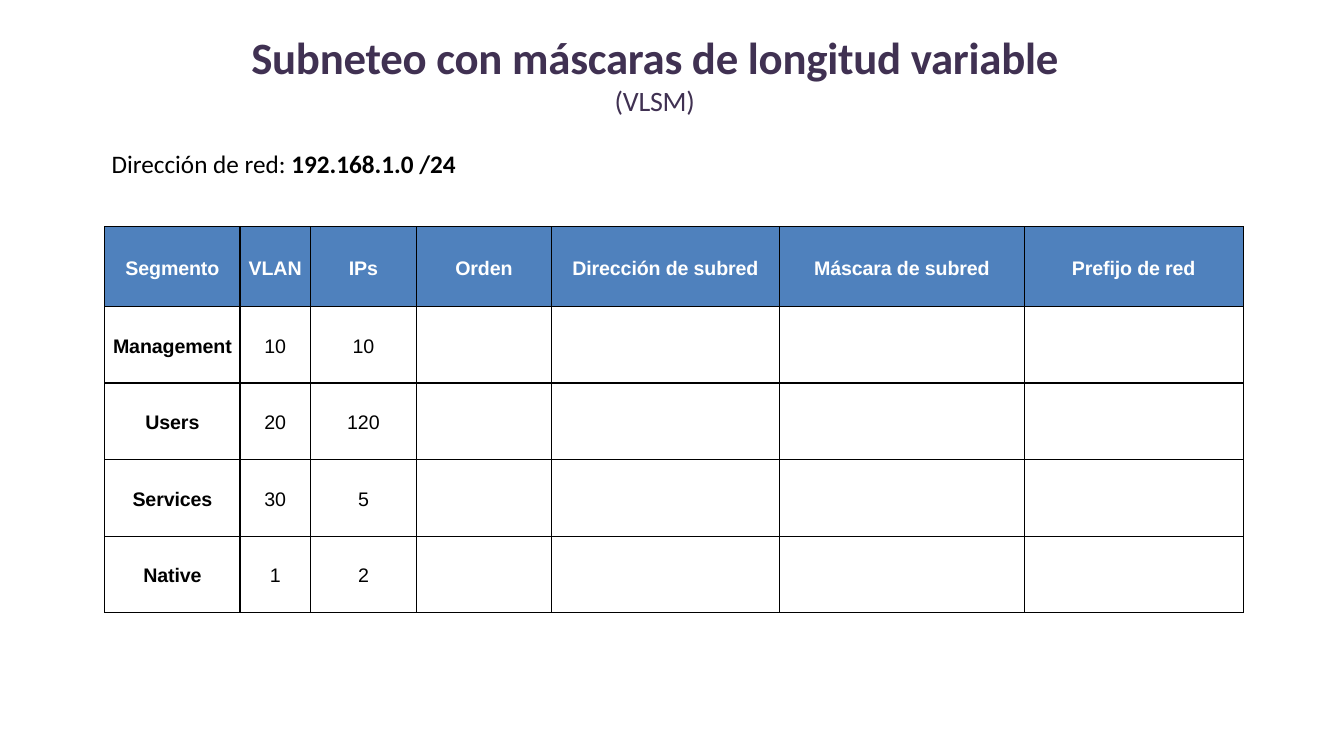
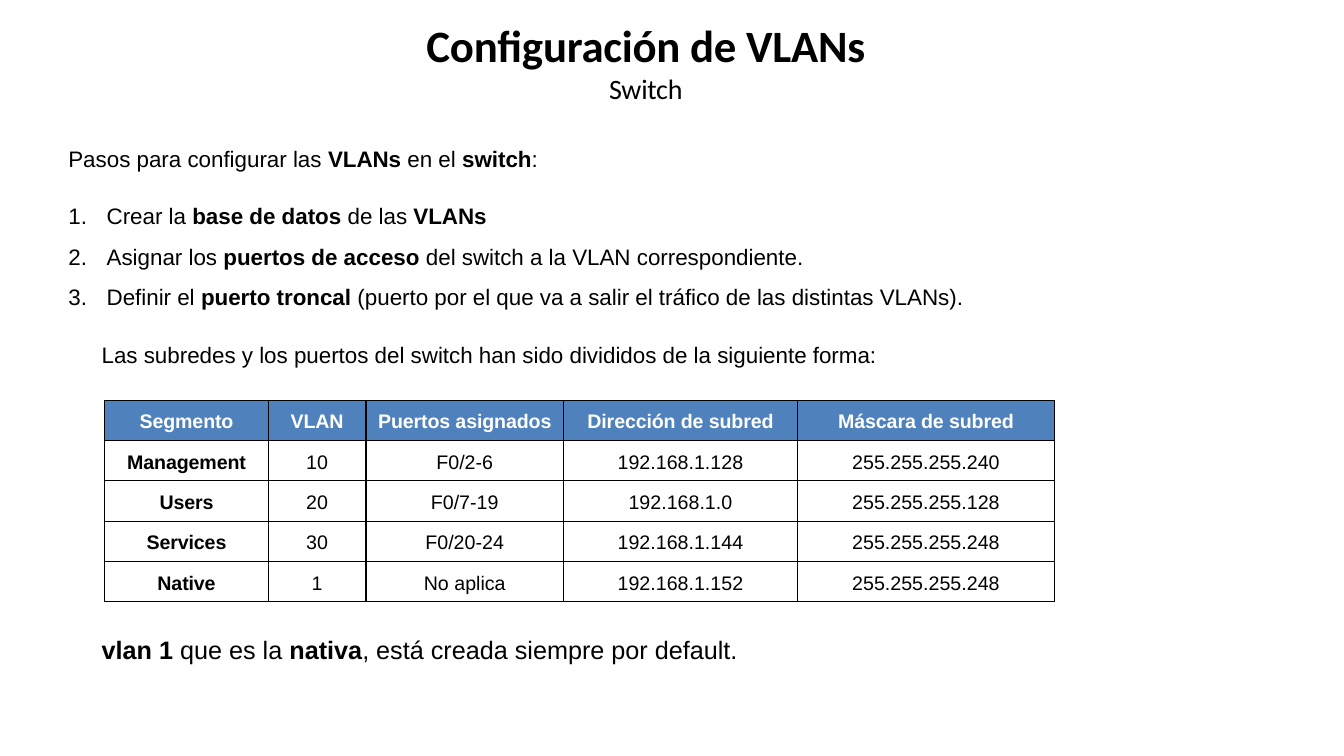
import dataclasses
import typing

import lxml.etree
import pptx
import pptx.dml.color
import pptx.enum.text
import pptx.oxml.ns
import pptx.util

PX = 9144
ALIGN = pptx.enum.text.PP_ALIGN


@dataclasses.dataclass(frozen=True)
class Theme:
    purple: str = "403152"
    black: str = "000000"
    white: str = "FFFFFF"
    blue: str = "4F81BD"
    heading_font: str = "Calibri"
    body_font: str = "Arial"
    title: int = 32
    subtitle: int = 20
    large: int = 18
    body: int = 16
    cell: int = 14
    cell_line: int = 18
    border: int = 1


THEME = Theme()


@dataclasses.dataclass(frozen=True)
class Box:
    left: int
    top: int
    width: int
    height: int


@dataclasses.dataclass(frozen=True)
class Table:
    left: int
    top: int
    cols: tuple[int, ...]
    heights: tuple[int, ...]
    rows: tuple[tuple[str, ...], ...]


def px(n: int) -> pptx.util.Emu:
    return pptx.util.Emu(n * PX)


def rgb(color: str) -> pptx.dml.color.RGBColor:
    return pptx.dml.color.RGBColor.from_string(color)


def add_element(parent: typing.Any, tag: str, **attrs: str) -> typing.Any:
    return lxml.etree.SubElement(parent, pptx.oxml.ns.qn(tag), attrs)


def write(tf: typing.Any, text: str, *, size: int, font: str = THEME.body_font,
          color: str = THEME.black, bold: bool = False, tracking: int = 0,
          align: typing.Any = ALIGN.LEFT, line: typing.Any = None,
          after: int = 0, numbered: bool = False) -> None:
    """Add a paragraph; each ** in the text switches bold on or off."""
    p = tf.paragraphs[0] if not tf.text else tf.add_paragraph()
    if numbered:
        pPr = p._p.get_or_add_pPr()
        pPr.set("marL", str(px(38)))
        pPr.set("indent", str(px(-38)))
        add_element(pPr, "a:buFont", typeface=font)
        add_element(pPr, "a:buAutoNum", type="arabicPeriod")
    p.alignment = align
    p.space_after = pptx.util.Pt(after)
    if line is not None:
        p.line_spacing = line
    for i, part in enumerate(text.split("**")):
        if not part:
            continue
        r = p.add_run()
        r.text = part
        r.font.size = pptx.util.Pt(size)
        r.font.name = font
        r.font.bold = bold != (i % 2 == 1)
        r.font.color.rgb = rgb(color)
        if tracking:
            r._r.get_or_add_rPr().set("spc", str(tracking))


def add_box(s: typing.Any, box: Box, *, inset: bool = True, wrap: bool = True) -> typing.Any:
    sp = s.shapes.add_textbox(px(box.left), px(box.top), px(box.width), px(box.height))
    tf = sp.text_frame
    tf.word_wrap = wrap
    tf.auto_size = pptx.enum.text.MSO_AUTO_SIZE.SHAPE_TO_FIT_TEXT
    if not inset:
        tf.margin_left = tf.margin_right = tf.margin_top = tf.margin_bottom = 0
    return tf


def add_title(s: typing.Any, box: Box, title: str, subtitle: str, color: str) -> None:
    tf = add_box(s, box, inset=False)
    for text, size, bold in ((title, THEME.title, True), (subtitle, THEME.subtitle, False)):
        write(tf, text, size=size, font=THEME.heading_font, color=color,
              bold=bold, tracking=-20, align=ALIGN.CENTER)


def add_borders(cell: typing.Any) -> None:
    tcPr = cell._tc.get_or_add_tcPr()
    for side in ("L", "R", "T", "B"):
        ln = add_element(tcPr, f"a:ln{side}", w=str(pptx.util.Pt(THEME.border)))
        add_element(add_element(ln, "a:solidFill"), "a:srgbClr", val=THEME.black)


def fill_cell(cell: typing.Any, text: str, header: bool, strong: bool) -> None:
    cell.margin_left = cell.margin_right = cell.margin_top = cell.margin_bottom = 0
    cell.vertical_anchor = pptx.enum.text.MSO_ANCHOR.MIDDLE
    add_borders(cell)
    if header:
        cell.fill.solid()
        cell.fill.fore_color.rgb = rgb(THEME.blue)
    else:
        cell.fill.background()
    if text:
        write(cell.text_frame, text, size=THEME.cell, bold=strong,
              color=THEME.white if header else THEME.black,
              tracking=-10 if strong else 0, align=ALIGN.CENTER,
              line=pptx.util.Pt(THEME.cell_line))


def add_table(s: typing.Any, table: Table) -> None:
    sp = s.shapes.add_table(len(table.rows), len(table.cols), px(table.left), px(table.top),
                            px(sum(table.cols)), px(sum(table.heights)))
    grid = sp.table
    grid.horz_banding = False
    for col, width in zip(grid.columns, table.cols):
        col.width = px(width)
    for i, (row, height) in enumerate(zip(table.rows, table.heights)):
        grid.rows[i].height = px(height)
        for j in range(len(table.cols)):
            text = row[j] if j < len(row) else ""
            fill_cell(grid.cell(i, j), text, i == 0, i == 0 or j == 0)


def build_vlsm(s: typing.Any) -> None:
    add_title(s, Box(208, 29, 883, 88), "Subneteo con máscaras de longitud variable",
              "(VLSM)", THEME.purple)
    add_table(s, Table(104, 225, (134, 70, 105, 134, 226, 243, 217), (79,) + (76,) * 4, (
        ("Segmento", "VLAN", "IPs", "Orden", "Dirección de subred",
         "Máscara de subred", "Prefijo de red"),
        ("Management", "10", "10"),
        ("Users", "20", "120"),
        ("Services", "30", "5"),
        ("Native", "1", "2"),
    )))
    write(add_box(s, Box(101, 142, 363, 40), wrap=False),
          "Dirección de red: **192.168.1.0 /24", size=THEME.large, font=THEME.heading_font)


def build_vlans(s: typing.Any) -> None:
    add_title(s, Box(358, 18, 565, 88), "Configuración de VLANs", "Switch", THEME.black)
    tf = add_box(s, Box(58, 126, 1033, 183))
    write(tf, "Pasos para configurar las **VLANs **en el **switch**:",
          size=THEME.body, line=1.5, after=12)
    for step in (
        "Crear la **base de datos **de las **VLANs",
        "Asignar los **puertos de acceso **del switch a la VLAN correspondiente.",
        "Definir el **puerto troncal** (puerto por el que va a salir el tráfico "
        "de las distintas VLANs).",
    ):
        write(tf, step, size=THEME.body, line=1.5, numbered=True)
    write(add_box(s, Box(91, 320, 917, 45)),
          "Las subredes y los puertos del switch han sido divididos de la siguiente forma:",
          size=THEME.body, line=1.5, after=6)
    add_table(s, Table(104, 397, (162, 97, 196, 232, 255), (40,) * 5, (
        ("Segmento", "VLAN", "Puertos asignados", "Dirección de subred", "Máscara de subred"),
        ("Management", "10", "F0/2-6", "192.168.1.128", "255.255.255.240"),
        ("Users", "20", "F0/7-19", "192.168.1.0", "255.255.255.128"),
        ("Services", "30", "F0/20-24", "192.168.1.144", "255.255.255.248"),
        ("Native", "1", "No aplica", "192.168.1.152", "255.255.255.248"),
    )))
    write(add_box(s, Box(91, 624, 670, 40)),
          "**vlan 1 **que es la** nativa**, está creada siempre por default.",
          size=THEME.large)


def main() -> None:
    prs = pptx.Presentation()
    prs.slide_width, prs.slide_height = px(1333), px(750)
    for build in (build_vlsm, build_vlans):
        build(prs.slides.add_slide(prs.slide_layouts[6]))
    prs.save("out.pptx")


if __name__ == "__main__":
    main()
